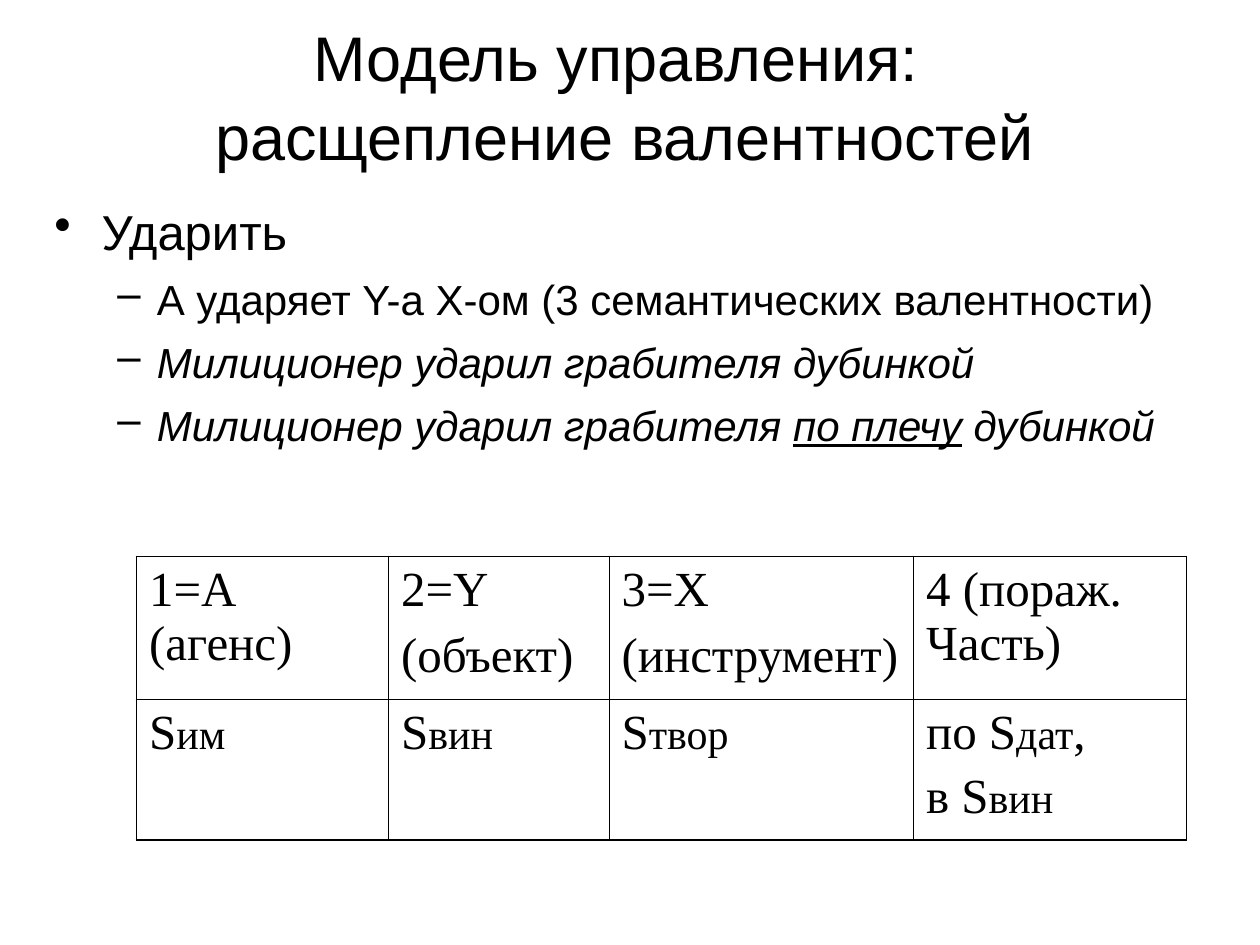
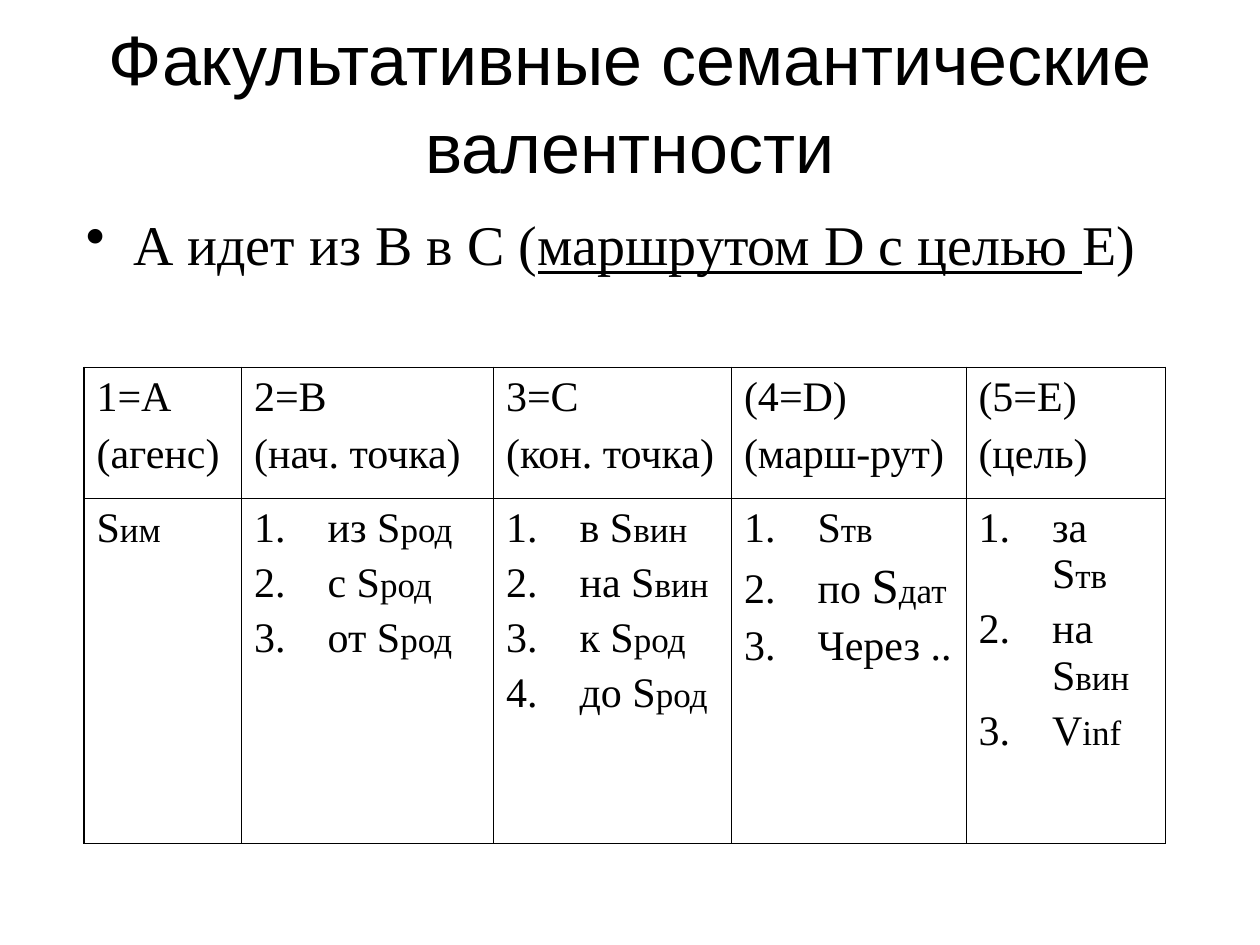
from dataclasses import dataclass

from lxml.etree import SubElement
from pptx import Presentation
from pptx.dml.color import RGBColor
from pptx.enum.text import MSO_ANCHOR as Anchor, PP_ALIGN as Align
from pptx.oxml.ns import qn
from pptx.util import Pt


@dataclass(frozen=True)
class Theme:
    ink: RGBColor = RGBColor(0, 0, 0)
    sans: str = "Arial"
    serif: str = "Times New Roman"
    huge: int = 40
    title: int = 36
    lead: int = 32
    large: int = 28
    medium: int = 24
    small: int = 20
    sans_leading: float = 1.04
    outer_line: float = 1.08
    inner_line: float = 0.45


@dataclass(frozen=True)
class Span:
    text: str
    size: int
    italic: bool = False
    underline: bool = False


@dataclass(frozen=True)
class Line:
    spans: tuple
    marker: str = ""
    indent: float = 0
    hang: float = 0
    gap: float = 0
    level: int = 0


THEME = Theme()
NUMBERED = "1."


class Deck:
    def __init__(self, theme):
        self.theme = theme
        self.file = Presentation()
        self.file.slide_width, self.file.slide_height = Pt(720), Pt(540)
        self.page = None

    def add_page(self):
        self.page = self.file.slides.add_slide(self.file.slide_layouts[6])

    def add_box(self, left, top, width, height, lines, font, leading=None):
        box = self.page.shapes.add_textbox(Pt(left), Pt(top), Pt(width), Pt(height))
        frame = box.text_frame
        frame.word_wrap = True
        self.fill_text(frame, lines, font, leading)
        return frame

    def add_title(self, text, size, width, height):
        line = Line((Span(text, size),))
        frame = self.add_box(54, 18, width, height, [line], self.theme.sans, self.theme.sans_leading)
        frame.vertical_anchor = Anchor.MIDDLE
        frame.paragraphs[0].alignment = Align.CENTER

    def add_body(self, left, top, width, height, lines, font, leading=None):
        frame = self.add_box(left, top, width, height, lines, font, leading)
        frame.margin_top = Pt(6)

    def add_table(self, left, top, widths, heights, rows):
        shape = self.page.shapes.add_table(
            len(heights), len(widths), Pt(left), Pt(top), Pt(sum(widths)), Pt(sum(heights)))
        table = shape.table
        table.first_row = table.horz_banding = False
        for column, width in zip(table.columns, widths):
            column.width = Pt(width)
        for row, height in zip(table.rows, heights):
            row.height = Pt(height)
        for r, row in enumerate(rows):
            for c, lines in enumerate(row):
                cell = table.cell(r, c)
                self.fill_text(cell.text_frame, lines, self.theme.serif)
                self.add_borders(cell, {
                    "L": c == 0, "R": c == len(widths) - 1,
                    "T": r == 0, "B": r == len(heights) - 1})
                cell.fill.background()

    def add_borders(self, cell, edges):
        properties = cell._tc.get_or_add_tcPr()
        for side, outer in edges.items():
            width = self.theme.outer_line if outer else self.theme.inner_line
            border = SubElement(properties, qn(f"a:ln{side}"), w=str(int(Pt(width))))
            fill = SubElement(border, qn("a:solidFill"))
            SubElement(fill, qn("a:srgbClr"), val=str(self.theme.ink))

    def add_marker(self, para, line):
        properties = para._p.get_or_add_pPr()
        properties.set("marL", str(int(Pt(line.indent))))
        properties.set("indent", str(int(Pt(-line.hang))))
        if line.marker == NUMBERED:
            SubElement(properties, qn("a:buAutoNum"), type="arabicPeriod")
        else:
            SubElement(properties, qn("a:buChar"), char=line.marker)

    def fill_text(self, frame, lines, font, leading=None):
        for index, line in enumerate(lines):
            para = frame.add_paragraph() if index else frame.paragraphs[0]
            para.level = line.level
            if line.marker:
                self.add_marker(para, line)
            if index:
                para.space_before = Pt(line.gap)
            if leading:
                para.line_spacing = leading
            if len(line.spans) == 1:
                para.text = line.spans[0].text
            else:
                for span in line.spans:
                    para.add_run().text = span.text
            for i, run in enumerate(para.runs):
                span = line.spans[min(i, len(line.spans) - 1)]
                run.font.name = font
                run.font.size = Pt(span.size)
                run.font.italic = span.italic
                run.font.underline = span.underline
                run.font.color.rgb = self.theme.ink


def plain(size, gap, *texts):
    return [Line((Span(text, size),), gap=gap) for text in texts]


def case(size, ending_size, gap, head, ending, tail=""):
    spans = [Span(head, size), Span(ending, ending_size)]
    if tail:
        spans.append(Span(tail, size))
    return Line(tuple(spans), gap=gap)


def numbered(*span_groups):
    return [Line(tuple(spans), NUMBERED, 42, 42, 5) for spans in span_groups]


def numbered_cases(*pairs):
    return numbered(*(case(THEME.medium, THEME.small, 5, *pair).spans for pair in pairs))


def dash(*spans):
    return Line(spans, "–", 58.5, 22.5, 6, 1)


def build_split_valencies(deck):
    size, ending = THEME.large, THEME.medium
    deck.add_page()
    deck.add_title("Модель управления: \vрасщепление валентностей", THEME.title, 606, 72)
    deck.add_body(24, 108, 666, 372, [
        Line((Span("Ударить", size),), "•", 27, 27),
        dash(Span("А ударяет Y-a X-ом (3 семантических валентности)", ending)),
        dash(Span("Милиционер ударил грабителя дубинкой", ending, True)),
        dash(Span("Милиционер ударил грабителя ", ending, True),
             Span("по плечу", ending, True, True),
             Span(" дубинкой", ending, True)),
    ], THEME.sans, THEME.sans_leading)
    headers = [("1=А (агенс)",), ("2=Y", "(объект)"), ("3=X", "(инструмент)"), ("4 (пораж. Часть)",)]
    forms = [[case(size, ending, 6, "S", form)] for form in ("им", "вин", "твор")]
    forms.append([case(size, ending, 6, "по S", "дат", ","), case(size, ending, 6, "в S", "вин")])
    deck.add_table(78, 318, (144, 126, 174, 156), (81.5, 80.5), [
        [plain(size, 7, *texts) for texts in headers],
        forms,
    ])


def build_optional_valencies(deck):
    size, ending = THEME.medium, THEME.small
    deck.add_page()
    deck.add_title("Факультативные семантические валентности", THEME.huge, 612, 78)
    deck.add_body(42, 114, 654, 402, [
        Line((Span("А идет из B в С (", THEME.lead),
              Span("маршрутом D c целью ", THEME.lead, underline=True),
              Span("E)", THEME.lead)), "•", 27, 27),
    ], THEME.serif)
    headers = [("1=A", "(агенс)"), ("2=B", "(нач. точка)"), ("3=C", "(кон. точка)"),
               ("(4=D)", "(марш-рут)"), ("(5=E)", "(цель)")]
    deck.add_table(48, 210, (90, 144, 136, 134, 114), (75, 197), [
        [plain(size, 6, *texts) for texts in headers],
        [
            [case(size, ending, 5, "S", "им")],
            numbered_cases(("из S", "род"), ("с S", "род"), ("от S", "род")),
            numbered_cases(("в S", "вин"), ("на S", "вин"), ("к S", "род"), ("до S", "род")),
            numbered(
                (Span("S", size), Span("тв", ending)),
                (Span("по ", size), Span("S", THEME.large), Span("дат", ending)),
                (Span("Через ..", size),)),
            numbered_cases(("за S", "тв"), ("на S", "вин"), ("V", "inf")),
        ],
    ])


def main():
    deck = Deck(THEME)
    build_split_valencies(deck)
    build_optional_valencies(deck)
    deck.file.save("out.pptx")


if __name__ == "__main__":
    main()
